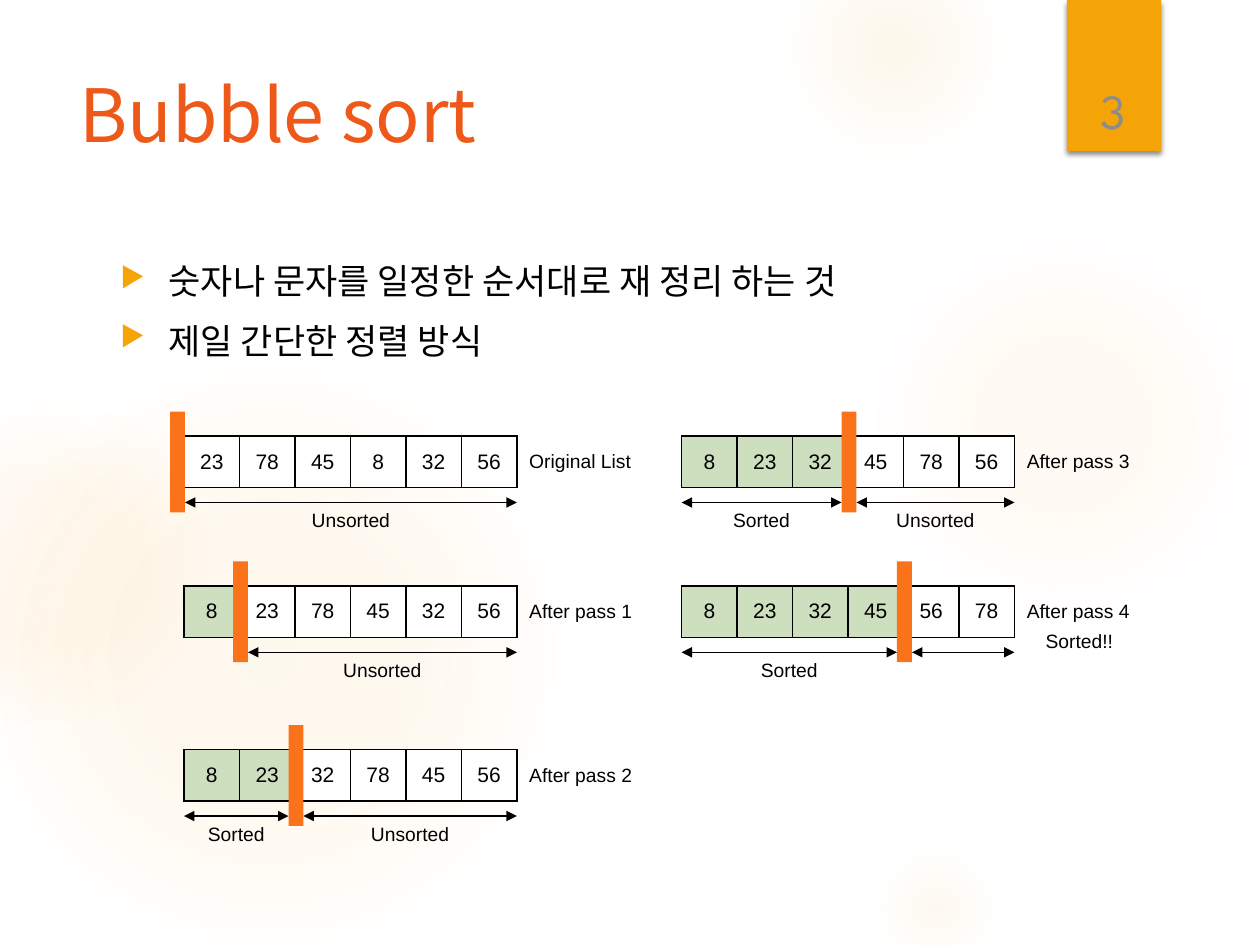
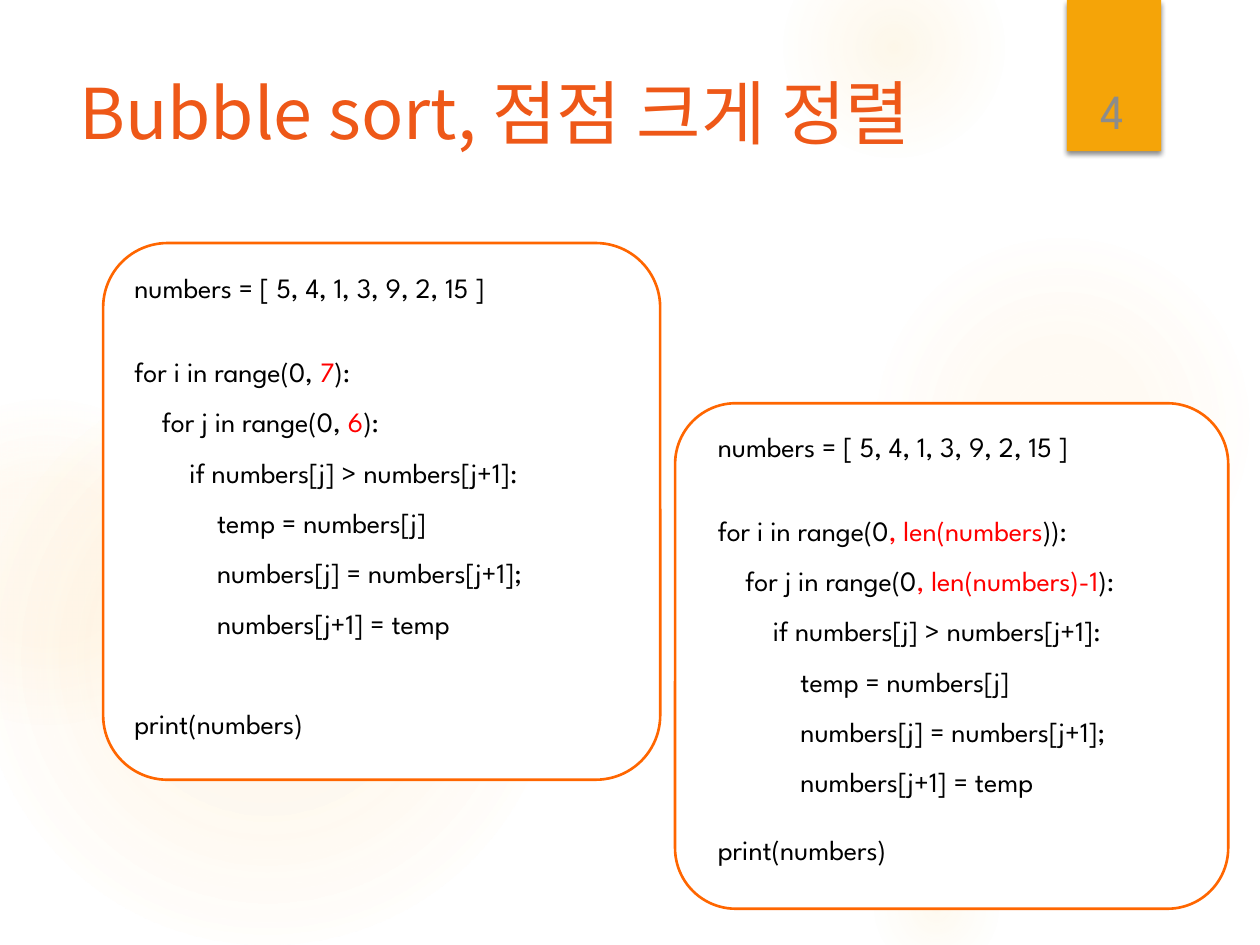
import pptx
import pptx.util
import pptx.dml.color
import pptx.enum.shapes
import pptx.enum.text
import pptx.oxml
import pptx.oxml.ns

Cm = pptx.util.Cm
Pt = pptx.util.Pt
qn = pptx.oxml.ns.qn
RGB = pptx.dml.color.RGBColor.from_string
SHAPE = pptx.enum.shapes.MSO_SHAPE
ALIGN = pptx.enum.text.PP_ALIGN
ANCHOR = pptx.enum.text.MSO_ANCHOR
NAMESPACE = pptx.oxml.ns.nsdecls("a")

COLORS = {
    "title": "EE5818",
    "badge": "F5A408",
    "number": "8C8C8C",
    "glow": "FAC96A",
    "text": "000000",
    "marker": "FA731A",
    "sorted": "CDDFBF",
    "white": "FFFFFF",
    "frame": "FF6600",
    "red": "FF0000",
}
KOREAN = "Noto Sans CJK KR"
LATIN = "League Spartan"
LABEL = "Arial"


def add_block(slide, kind, box, fill=None, line=None):
    shape = slide.shapes.add_shape(kind, *map(Cm, box))
    shape.shadow.inherit = False
    if fill:
        shape.fill.solid()
        shape.fill.fore_color.rgb = RGB(COLORS[fill])
    else:
        shape.fill.background()
    if line:
        shape.line.color.rgb = RGB(COLORS[line])
        shape.line.width = Pt(1.5)
    else:
        shape.line.fill.background()
    return shape


def write(frame, paragraphs, font, size, align=ALIGN.LEFT, wrap=None):
    if wrap is not None:
        frame.word_wrap = wrap
    for index, runs in enumerate(paragraphs):
        paragraph = frame.add_paragraph() if index else frame.paragraphs[0]
        paragraph.alignment = align
        for text, color in runs:
            run = paragraph.add_run()
            run.text = text
            run.font.size = Pt(size)
            run.font.name = font
            run.font.color.rgb = RGB(COLORS[color])
            run.font._element.append(
                pptx.oxml.parse_xml(f'<a:ea {NAMESPACE} typeface="{font}"/>'))
    return frame.paragraphs


presentation = pptx.Presentation()
presentation.slide_width = Cm(25.4)
presentation.slide_height = Cm(19.05)

glows = [
    (17.5, 4.65, 7.82, [(0, 7), (36, 6), (69, 0)]),
    (15.8, -1.27, 4.45, [(0, 14), (36, 7), (73, 0)]),
    (17.5, 16.94, 2.74, [(0, 10), (31, 5), (66, 0)]),
    (-0.43, 7.42, 11.63, [(0, 11), (36, 10), (75, 0)]),
    (-2.34, 8.05, 6.55, [(0, 8), (36, 8), (72, 0)]),
]
titles = [("3", "Bubble sort", 42), ("4", "Bubble sort, 점점 크게 정렬", 40)]
slides = []
for number, title, title_size in titles:
    slide = presentation.slides.add_slide(presentation.slide_layouts[6])
    slides.append(slide)
    for left, top, diameter, stops in glows:
        glow = add_block(slide, SHAPE.OVAL, (left, top, diameter, diameter))
        stop_xml = "".join(
            f'<a:gs pos="{position * 1000}"><a:srgbClr val="{COLORS["glow"]}">'
            f'<a:alpha val="{alpha * 1000}"/></a:srgbClr></a:gs>'
            for position, alpha in stops)
        properties = glow._element.spPr
        properties.replace(properties.find(qn("a:noFill")), pptx.oxml.parse_xml(
            f'<a:gradFill {NAMESPACE}><a:gsLst>{stop_xml}</a:gsLst><a:path path="circle">'
            '<a:fillToRect l="50000" t="50000" r="50000" b="50000"/></a:path></a:gradFill>'))
    badge = add_block(slide, SHAPE.RECTANGLE, (21.51, 0, 1.9, 3.05), "badge")
    badge._element.spPr.find(qn("a:effectLst")).append(pptx.oxml.parse_xml(
        f'<a:outerShdw {NAMESPACE} blurRad="38100" dist="25400" dir="5400000">'
        '<a:srgbClr val="000000"><a:alpha val="45000"/></a:srgbClr></a:outerShdw>'))
    title_box = slide.shapes.add_textbox(Cm(1.35), Cm(1.27), Cm(19.61), Cm(3.89))
    write(title_box.text_frame, [[(title, "title")]], KOREAN, title_size, wrap=True)
    number_box = slide.shapes.add_textbox(Cm(21.56), Cm(0.81), Cm(1.75), Cm(2.13))
    number_box.text_frame.vertical_anchor = ANCHOR.BOTTOM
    write(number_box.text_frame, [[(number, "number")]], LATIN, 28, ALIGN.CENTER, True)

sort_slide, code_slide = slides

body = sort_slide.shapes.add_textbox(Cm(2.18), Cm(5.11), Cm(18.64), Cm(11.66))
points = ["숫자나 문자를 일정한 순서대로 재 정리 하는 것", "제일 간단한 정렬 방식"]
paragraphs = write(body.text_frame, [[(point, "text")] for point in points],
                   KOREAN, 20, wrap=True)
paragraphs[1].space_before = Pt(10)
for paragraph in paragraphs:
    properties = paragraph._p.get_or_add_pPr()
    properties.set("marL", str(Cm(0.97)))
    properties.set("indent", str(-Cm(0.97)))
    for bullet in (f'<a:buClr {NAMESPACE}><a:srgbClr val="{COLORS["badge"]}"/></a:buClr>',
                   f'<a:buSzPct {NAMESPACE} val="80000"/>',
                   f'<a:buChar {NAMESPACE} char="▶"/>'):
        properties.append(pptx.oxml.parse_xml(bullet))

list_width, list_height = 6.71, 1.04
cell_width = list_width / 6
marker_width = 0.3
left_column, right_column = 3.71, 13.74
first_row, second_row, third_row = 8.79, 11.81, 15.11
label_widths = {"Sorted": 1.68, "Unsorted": 2.13}
passes = [
    (left_column, first_row, [23, 78, 45, 8, 32, 56], 0, "Original List", "", "Unsorted"),
    (left_column, second_row, [8, 23, 78, 45, 32, 56], 1, "After pass 1", "", "Unsorted"),
    (left_column, third_row, [8, 23, 32, 78, 45, 56], 2, "After pass 2", "Sorted", "Unsorted"),
    (right_column, first_row, [8, 23, 32, 45, 78, 56], 3, "After pass 3", "Sorted", "Unsorted"),
    (right_column, second_row, [8, 23, 32, 45, 56, 78], 4, "After pass 4", "Sorted", ""),
]
for left, top, values, sorted_count, caption, sorted_label, unsorted_label in passes:
    table = sort_slide.shapes.add_table(
        1, len(values), Cm(left), Cm(top), Cm(list_width), Cm(list_height)).table
    table.first_row = False
    table.horz_banding = False
    for index, value in enumerate(values):
        table.columns[index].width = Cm(cell_width)
        cell = table.cell(0, index)
        cell.vertical_anchor = ANCHOR.MIDDLE
        for side in ("lnL", "lnR", "lnT", "lnB"):
            cell._tc.get_or_add_tcPr().append(pptx.oxml.parse_xml(
                f'<a:{side} {NAMESPACE} w="12700"><a:solidFill>'
                f'<a:srgbClr val="{COLORS["text"]}"/></a:solidFill></a:{side}>'))
        cell.fill.solid()
        cell.fill.fore_color.rgb = RGB(COLORS["sorted" if index < sorted_count else "white"])
        write(cell.text_frame, [[(str(value), "text")]], LABEL, 12, ALIGN.CENTER)

    marker_left = left + sorted_count * cell_width - (0.13 if sorted_count else 0.28)
    add_block(sort_slide, SHAPE.RECTANGLE,
              (marker_left, top - 0.49, marker_width, 2.03), "marker")

    caption_box = sort_slide.shapes.add_textbox(
        Cm(left + list_width), Cm(top + 0.15), Cm(2.64), Cm(0.74))
    write(caption_box.text_frame, [[(caption, "text")]], LABEL, 11, wrap=False)

    arrow_top = top + 1.34
    spans = [(marker_left + marker_width, left + list_width, unsorted_label)]
    if sorted_label:
        spans.append((left, marker_left, sorted_label))
    for start, end, label in spans:
        arrow = sort_slide.shapes.add_connector(
            pptx.enum.shapes.MSO_CONNECTOR.STRAIGHT,
            Cm(start), Cm(arrow_top), Cm(end), Cm(arrow_top))
        arrow.line.color.rgb = RGB(COLORS["text"])
        arrow.line.width = Pt(0.75)
        for tip in ("headEnd", "tailEnd"):
            arrow.line._get_or_add_ln().append(
                pptx.oxml.parse_xml(f'<a:{tip} {NAMESPACE} type="triangle"/>'))
        arrow._element.spPr.append(pptx.oxml.parse_xml(f"<a:effectLst {NAMESPACE}/>"))
        if label:
            label_width = label_widths[label]
            label_box = sort_slide.shapes.add_textbox(
                Cm((start + end - label_width) / 2), Cm(arrow_top), Cm(label_width), Cm(0.74))
            write(label_box.text_frame, [[(label, "text")]], LABEL, 11, ALIGN.CENTER, False)

done_box = sort_slide.shapes.add_textbox(Cm(20.83), Cm(12.57), Cm(1.9), Cm(0.74))
write(done_box.text_frame, [[("Sorted!!", "text")]], LABEL, 11, wrap=False)

listings = [
    ((2.08, 4.9, 11.23, 10.82), (2.46, 5.33, 11.38, 10.52),
     ("0, ", "7", "):"), ("0, ", "6", "):"), 28.8, 1.5),
    ((13.61, 8.13, 11.15, 10.19), (14.22, 8.53, 11.38, 10.85),
     ("0", ", len(numbers", ")):"), ("0", ", len(numbers)-1", "):"), 19.2, 1.0),
]
for frame_box, code_box, outer, inner, print_gap, print_spacing in listings:
    frame = add_block(code_slide, SHAPE.ROUNDED_RECTANGLE, frame_box, "white", "frame")
    frame.adjustments[0] = 0.12
    code = [[("numbers = [ 5, 4, 1, 3, 9, 2, 15 ]", "text")]]
    for loop, (start, limit, end) in (("for i in range(", outer),
                                      ("    for j in range(", inner)):
        code.append([(loop + start, "text"), (limit, "red"), (end, "text")])
    for line in ("        if numbers[j] > numbers[j+1]:",
                 "            temp = numbers[j]",
                 "            numbers[j] = numbers[j+1];",
                 "            numbers[j+1] = temp",
                 "print(numbers)"):
        code.append([(line, "text")])
    code_text = code_slide.shapes.add_textbox(*map(Cm, code_box))
    paragraphs = write(code_text.text_frame, code, LATIN, 16, wrap=True)
    for paragraph in paragraphs[1:]:
        paragraph.line_spacing = 1.5
    paragraphs[1].space_before = Pt(19.2)
    paragraphs[-1].space_before = Pt(print_gap)
    paragraphs[-1].line_spacing = print_spacing

presentation.save("out.pptx")
